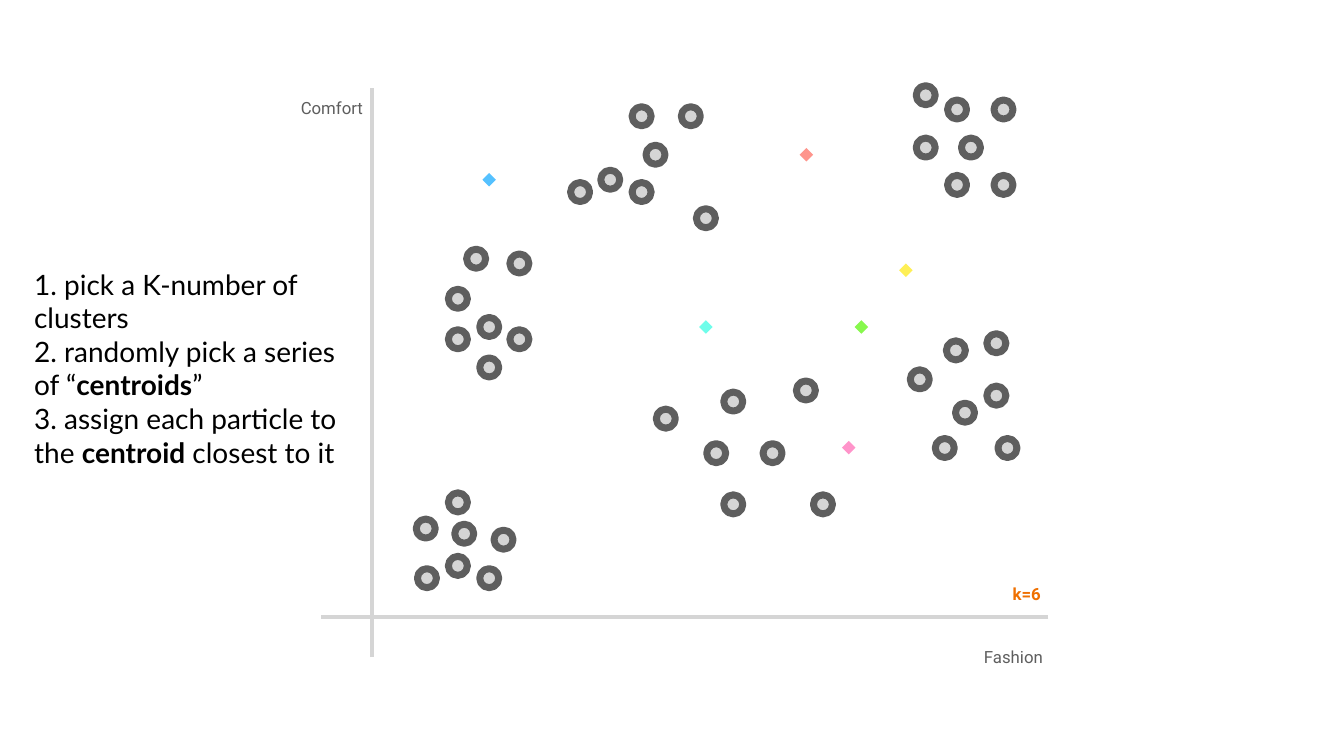
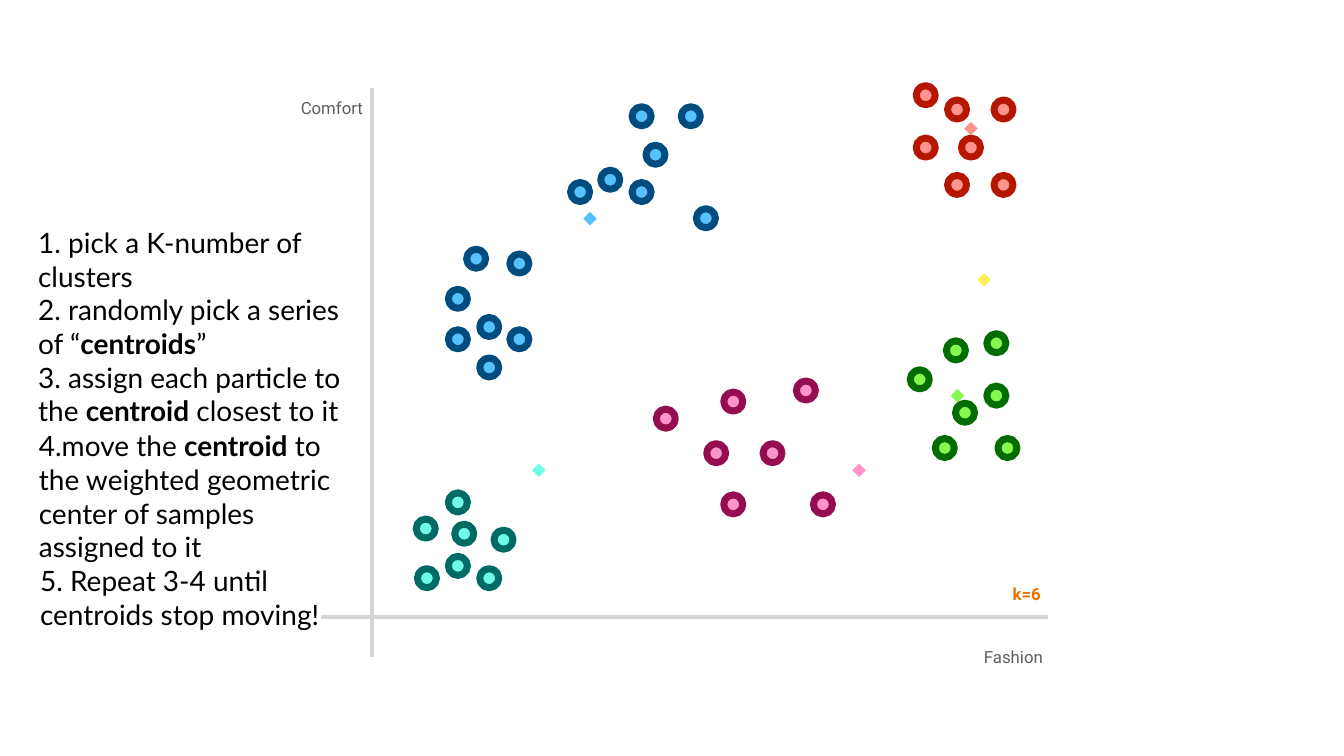
from pptx import Presentation
from pptx.dml.color import RGBColor
from pptx.enum.shapes import MSO_CONNECTOR, MSO_SHAPE
from pptx.enum.text import MSO_ANCHOR, MSO_AUTO_SIZE, PP_ALIGN
from pptx.oxml.ns import qn
from pptx.util import Cm, Pt
from lxml import etree

LINE = MSO_CONNECTOR.STRAIGHT
DOT, DIAMOND = MSO_SHAPE.OVAL, MSO_SHAPE.DIAMOND
MIDDLE = MSO_ANCHOR.MIDDLE
FIT = MSO_AUTO_SIZE.SHAPE_TO_FIT_TEXT
LEFT, CENTER = PP_ALIGN.LEFT, PP_ALIGN.CENTER

COLORS = {
    "text": "000000", "axis": "D5D5D5", "label": "5E5E5E", "accent": "EF7001",
    "teal": "6FFDEA", "teal_dark": "006B64",
    "blue": "55C1FF", "blue_dark": "004C7F",
    "red": "FE958C", "red_dark": "B41600",
    "green": "87F84D", "green_dark": "016D01",
    "pink": "FF94CA", "pink_dark": "950D51",
    "yellow": "FEEF56",
}

# Particle centres in cm, grouped by the cluster they end up in
PARTICLES = {
    "teal": [(10.76, 14.57), (12.33, 14.57), (11.54, 12.66), (11.54, 14.26),
             (10.73, 13.32), (11.7, 13.45), (12.69, 13.6)],
    "blue": [(14.62, 4.84), (16.17, 4.84), (17.41, 2.93), (15.38, 4.53),
             (17.79, 5.5), (16.17, 2.93), (16.52, 3.9),
             (11.54, 8.55), (13.09, 8.55), (11.54, 7.53), (12.33, 8.24),
             (12, 6.52), (13.09, 6.64), (12.33, 9.26)],
    "red": [(23.33, 3.72), (24.12, 4.66), (25.29, 2.76), (23.33, 2.4),
            (25.29, 4.66), (24.12, 2.76), (24.47, 3.72)],
    "green": [(23.81, 11.29), (25.39, 11.29), (25.11, 9.97), (25.11, 8.65),
              (23.18, 9.56), (24.09, 8.83), (24.32, 10.4)],
    "pink": [(18.48, 12.71), (20.31, 9.84), (20.74, 12.71), (18.05, 11.42),
             (16.78, 10.55), (18.48, 10.12), (19.47, 11.42)],
}

# Centroid centres in cm
RANDOM_CENTROIDS = {
    "teal": (17.79, 8.24), "pink": (21.39, 11.28), "yellow": (22.83, 6.81),
    "green": (21.71, 8.24), "red": (20.32, 3.9), "blue": (12.33, 4.53),
}
MOVED_CENTROIDS = {
    "teal": (13.58, 11.85), "pink": (21.65, 11.85), "yellow": (24.8, 7.05),
    "green": (24.13, 9.97), "red": (24.47, 3.24), "blue": (14.87, 5.51),
}

# Asterisks enclose bold words
FIRST_STEPS = [
    "1. pick a K-number of clusters",
    "2. randomly pick a series of “*centroids*”",
    "3. assign each particle to the *centroid* closest to it",
]
STEP_4 = ("4.move the *centroid* to the weighted geometric center "
          "of samples assigned to it")
STEP_5 = "5. Repeat 3-4 until centroids stop moving!"


def rgb(name):
    return RGBColor.from_string(COLORS[name])


def write(p, text, font="Lato", size=20, color="text", bold=False, align=LEFT):
    """Fill a paragraph; parts between asterisks are set in bold."""
    p.alignment = align
    for i, part in enumerate(text.split("*")):
        r = p.add_run()
        r.text = part
        r.font.name, r.font.size = font, Pt(size)
        r.font.bold = bold or i % 2 == 1
        r.font.color.rgb = rgb(color)


class Deck:
    MARGIN = Cm(0.07)
    STEP_WIDTH = 7.8

    def __init__(self):
        self.prs = Presentation()
        self.prs.slide_width, self.prs.slide_height = Cm(33.87), Cm(19.05)
        self.s = None

    def new_slide(self):
        self.s = self.prs.slides.add_slide(self.prs.slide_layouts[1])
        title = self.s.shapes.title.element
        title.getparent().remove(title)

    def frame(self, sp, wrap=True):
        tf = sp.text_frame
        tf.word_wrap, tf.vertical_anchor = wrap, MIDDLE
        tf.margin_left = tf.margin_right = self.MARGIN
        tf.margin_top = tf.margin_bottom = self.MARGIN
        return tf

    def steps(self, x, y, h, lines):
        """Numbered steps in the body placeholder."""
        sp = self.s.placeholders[1]
        sp.left, sp.top = Cm(x), Cm(y)
        sp.width, sp.height = Cm(self.STEP_WIDTH), Cm(h)
        tf = self.frame(sp)
        tf.auto_size = FIT
        for i, line in enumerate(lines):
            p = tf.add_paragraph() if i else tf.paragraphs[0]
            pPr = p._p.get_or_add_pPr()
            pPr.set("marL", "0")
            pPr.set("indent", "0")
            etree.SubElement(pPr, qn("a:buNone"))
            p.space_before, p.line_spacing = Pt(0), 1.0
            write(p, line)

    def text(self, x, y, w, h, text, wrap=False, **fmt):
        sp = self.s.shapes.add_textbox(Cm(x), Cm(y), Cm(w), Cm(h))
        write(self.frame(sp, wrap).paragraphs[0], text, **fmt)

    def axis(self, x1, y1, x2, y2):
        c = self.s.shapes.add_connector(LINE, Cm(x1), Cm(y1), Cm(x2), Cm(y2))
        c.line.color.rgb, c.line.width = rgb("axis"), Pt(3)
        etree.SubElement(c.element.spPr, qn("a:effectLst"))

    def marker(self, kind, center, size, fill, line=None):
        x, y = (Cm(v - size / 2) for v in center)
        sp = self.s.shapes.add_shape(kind, x, y, Cm(size), Cm(size))
        sp.shadow.inherit = False
        sp.fill.solid()
        sp.fill.fore_color.rgb = rgb(fill)
        if line:
            sp.line.color.rgb, sp.line.width = rgb(line), Pt(5)
        else:
            sp.line.fill.background()

    def chart(self, centroids, assigned):
        """Axes, labels, particles and centroids."""
        self.axis(9.37, 16.56, 9.37, 2.21)
        self.axis(26.42, 15.54, 8.1, 15.54)
        label = dict(font="Roboto", size=12, color="label", align=CENTER)
        self.text(7.44, 2.36, 1.85, 0.69, "Comfort", **label)
        self.text(24.64, 16.21, 1.8, 0.69, "Fashion", **label)
        self.text(25.45, 14.63, 0.89, 0.66, "k=6",
                  font="Roboto", size=12, color="accent", bold=True)
        for name, centers in PARTICLES.items():
            fill, line = (name, name + "_dark") if assigned else ("axis", "label")
            for center in centers:
                self.marker(DOT, center, 0.48, fill, line)
        for name, center in centroids.items():
            self.marker(DIAMOND, center, 0.34, name)


def main():
    deck = Deck()

    # Random centroids, particles not yet assigned
    deck.new_slide()
    deck.chart(RANDOM_CENTROIDS, assigned=False)
    deck.steps(0.79, 6.63, 5.28, FIRST_STEPS)

    # Centroids moved, particles coloured by cluster
    deck.new_slide()
    deck.chart(MOVED_CENTROIDS, assigned=True)
    deck.steps(0.89, 5.59, 5.28, FIRST_STEPS)
    deck.text(0.91, 10.72, deck.STEP_WIDTH, 3.56, STEP_4, wrap=True)
    deck.text(0.94, 14.12, deck.STEP_WIDTH, 1.85, STEP_5, wrap=True)

    deck.prs.save("out.pptx")


if __name__ == "__main__":
    main()
